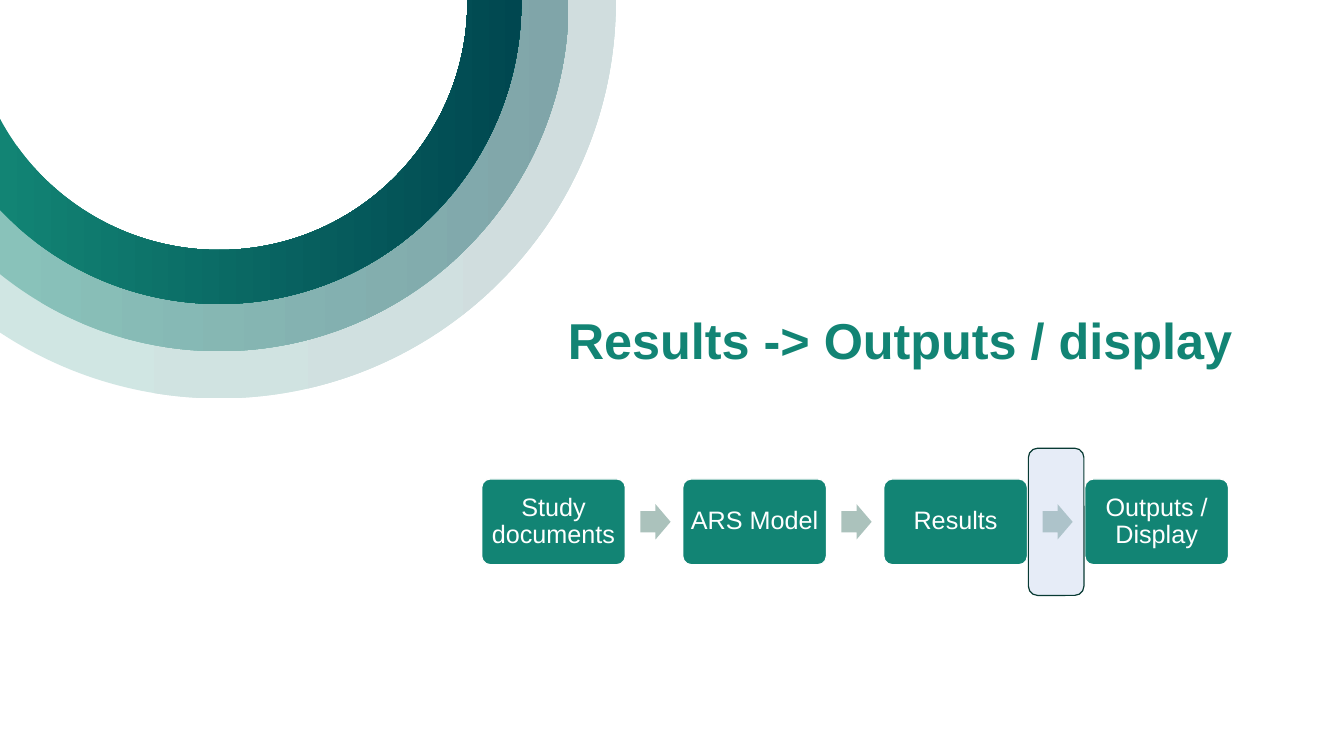
from math import acos, asin, cos, pi, sin, tan

from lxml import etree
from pptx import Presentation
from pptx.dml.color import RGBColor
from pptx.enum.shapes import MSO_SHAPE
from pptx.enum.text import MSO_ANCHOR, PP_ALIGN
from pptx.oxml.ns import qn
from pptx.util import Cm, Pt

ROUNDED = MSO_SHAPE.ROUNDED_RECTANGLE
ARROW = MSO_SHAPE.RIGHT_ARROW
MIDDLE = MSO_ANCHOR.MIDDLE
CENTER = PP_ALIGN.CENTER

GREEN = RGBColor(0x12, 0x84, 0x74)
TEAL = RGBColor(0x00, 0x47, 0x50)
MID_GREEN = RGBColor(0x89, 0xC2, 0xBA)
MID_TEAL = RGBColor(0x80, 0xA5, 0xA9)
PALE_GREEN = RGBColor(0xD0, 0xE6, 0xE3)
PALE_TEAL = RGBColor(0xD0, 0xDD, 0xDE)
SAGE = RGBColor(0xAB, 0xC2, 0xBC)
BLUE = RGBColor(0xB4, 0xC7, 0xE7)
DARK_GREEN = RGBColor(0x08, 0x3A, 0x33)
WHITE = RGBColor(0xFF, 0xFF, 0xFF)

FONT = "Arial"
STEPS = ["Study documents", "ARS Model", "Results", "Outputs / Display"]
# Outer radius, inner radius (cm), left colour, right colour
RINGS = [
    (10.0, 8.21, PALE_GREEN, PALE_TEAL),
    (8.81, 7.25, MID_GREEN, MID_TEAL),
    (7.62, 6.26, GREEN, TEAL),
]


def arc_points(center_x, center_y, radius):
    """Bezier points of two curves, from the page's top edge to its left edge."""
    def at(angle, along=0):
        return (Cm(center_x + radius * (cos(angle) - along * sin(angle))),
                Cm(center_y + radius * (sin(angle) + along * cos(angle))))

    top_edge = asin(-center_y / radius)
    left_edge = acos(-center_x / radius)
    points = [at(top_edge)]
    for start, end in ((top_edge, pi / 2), (pi / 2, left_edge)):
        handle = 4 / 3 * tan((end - start) / 4)
        points += [at(start, handle), at(end, -handle), at(end)]
    return points


def curve_segments(shape):
    """Turn the line segments of both arcs into curves, three to a curve."""
    lines = list(shape.element.iter(qn("a:lnTo")))
    for first in (0, 3, 7, 10):
        curve = etree.Element(qn("a:cubicBezTo"))
        lines[first].addprevious(curve)
        for line in lines[first:first + 3]:
            curve.append(line[0])
            line.getparent().remove(line)


def add_rings(page, center_x, center_y):
    for outer, inner, left_color, right_color in RINGS:
        outline = (arc_points(center_x, center_y, outer)
                   + arc_points(center_x, center_y, inner)[::-1])
        builder = page.shapes.build_freeform(*outline[0], scale=1.0)
        builder.add_line_segments(outline[1:], close=True)
        ring = builder.convert_to_shape()
        curve_segments(ring)
        ring.shadow.inherit = False
        ring.line.fill.background()
        ring.fill.gradient()
        ring.fill.gradient_angle = 0
        for stop, color in zip(ring.fill.gradient_stops, (left_color, right_color)):
            stop.color.rgb = color


def add_title(page, left, top, width, height):
    box = page.shapes.add_textbox(Cm(left), Cm(top), Cm(width), Cm(height))
    frame = box.text_frame
    frame.word_wrap = True
    frame.margin_left = 0
    para = frame.paragraphs[0]
    para.text = "Results -> Outputs / display"
    para.font.name = FONT
    para.font.size = Pt(36)
    para.font.bold = True
    para.font.color.rgb = GREEN


def add_filled(page, kind, left, top, width, height, fill, line=None):
    shape = page.shapes.add_shape(kind, Cm(left), Cm(top), Cm(width), Cm(height))
    shape.shadow.inherit = False
    shape.fill.solid()
    shape.fill.fore_color.rgb = fill
    if line is None:
        shape.line.fill.background()
    else:
        shape.line.color.rgb = line
        shape.line.width = Pt(0.85)
    return shape


def add_step(page, label, left, top, width, height):
    step = add_filled(page, ROUNDED, left, top, width, height, GREEN, WHITE)
    step.adjustments[0] = 0.1
    frame = step.text_frame
    frame.word_wrap = True
    frame.vertical_anchor = MIDDLE
    frame.margin_left = frame.margin_right = Cm(0.12)
    para = frame.paragraphs[0]
    para.text = label
    para.alignment = CENTER
    para.line_spacing = 0.9
    para.font.name = FONT
    para.font.size = Pt(18)
    para.font.color.rgb = WHITE


def add_flow(page, left, top, width, height):
    step_width, arrow_width, arrow_height = 3.62, 0.76, 0.89
    arrow_gap = 0.38
    pitch = (width - step_width) / (len(STEPS) - 1)
    gap = pitch - step_width
    for index, label in enumerate(STEPS):
        step_left = left + index * pitch
        add_step(page, label, step_left, top, step_width, height)
        if index < len(STEPS) - 1:
            arrow = add_filled(page, ARROW, step_left + step_width + arrow_gap,
                               top + (height - arrow_height) / 2,
                               arrow_width, arrow_height, SAGE)
            arrow.adjustments[0] = 0.6

    # Translucent marker over the last arrow
    marker_width, marker_height = 1.4, 3.71
    marker = add_filled(page, ROUNDED,
                        left + width - step_width - (gap + marker_width) / 2,
                        top + (height - marker_height) / 2,
                        marker_width, marker_height, BLUE, DARK_GREEN)
    color = marker.element.spPr.find(qn("a:solidFill"))[0]
    etree.SubElement(color, qn("a:alpha")).set("val", "33000")


def main():
    deck = Presentation()
    deck.slide_width, deck.slide_height = Cm(33.87), Cm(19.05)
    page = deck.slides.add_slide(deck.slide_layouts[6])
    add_rings(page, 5.52, 0.04)
    add_title(page, 14.31, 7.67, 17.86, 3.0)
    add_flow(page, 12.14, 12.07, 18.82, 2.16)
    deck.save("out.pptx")


if __name__ == "__main__":
    main()
